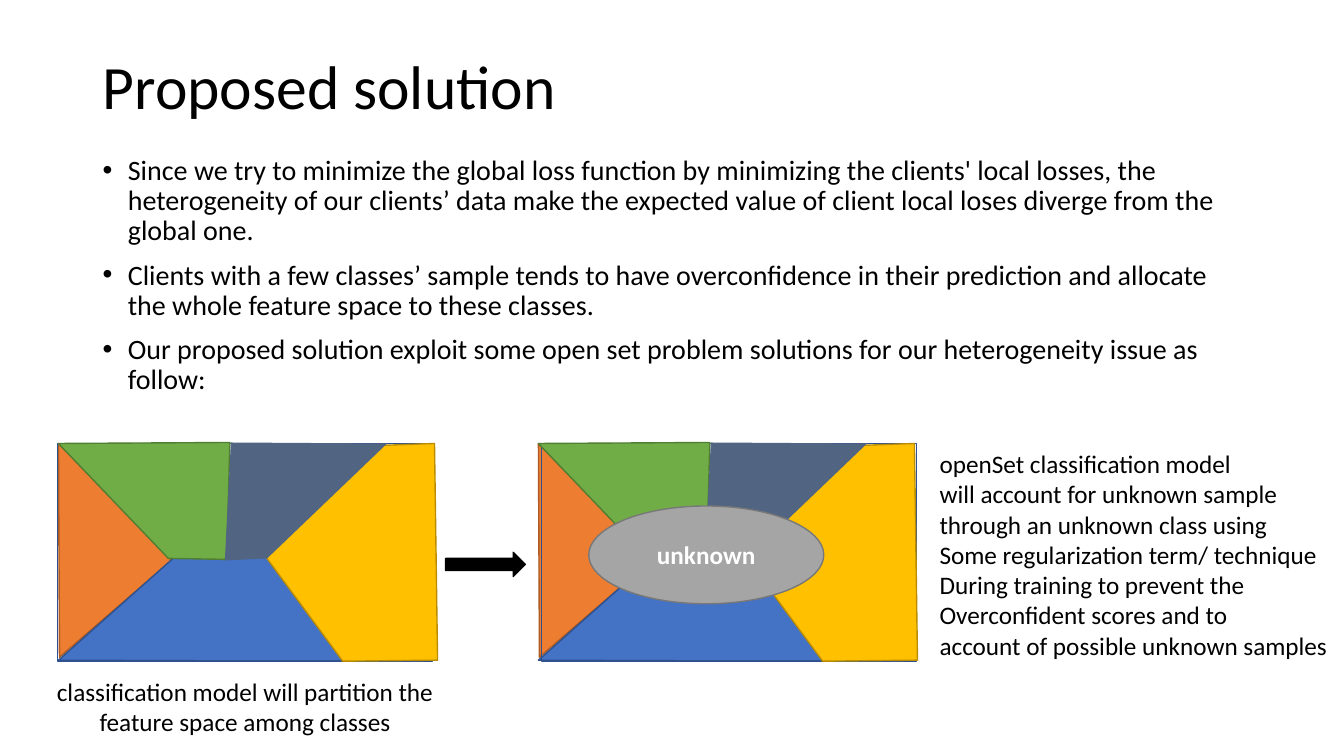
from dataclasses import dataclass

from lxml import etree
from pptx import Presentation
from pptx.dml.color import RGBColor
from pptx.enum.shapes import MSO_SHAPE
from pptx.enum.text import MSO_ANCHOR, PP_ALIGN
from pptx.oxml.ns import qn
from pptx.util import Inches, Pt


@dataclass(frozen=True)
class Theme:
    font: str = "Calibri"
    title_size: int = 44
    body_size: int = 20
    label_size: int = 18
    text: str = "000000"
    light: str = "FFFFFF"
    orange: str = "ED7D31"
    orange_edge: str = "AE5A21"
    blue: str = "4472C4"
    blue_edge: str = "2F528F"
    yellow: str = "FFC000"
    yellow_edge: str = "BC8C00"
    green: str = "70AD47"
    green_edge: str = "507E32"
    slate: str = "516482"
    gray: str = "A5A5A5"
    gray_edge: str = "787878"


THEME = Theme()


def paint(shape, fill, edge):
    """Set fill and outline; None leaves either one out."""
    shape.shadow.inherit = False
    if fill:
        shape.fill.solid()
        shape.fill.fore_color.rgb = RGBColor.from_string(fill)
    else:
        shape.fill.background()
    if edge:
        shape.line.color.rgb = RGBColor.from_string(edge)
        shape.line.width = Pt(1)
    else:
        shape.line.fill.background()


def write(shape, text, size, color=THEME.text, align=PP_ALIGN.LEFT, bold=False):
    """Fill the shape with one paragraph per line of text."""
    frame = shape.text_frame
    frame.text = text
    for paragraph in frame.paragraphs:
        paragraph.alignment = align
        for run in paragraph.runs:
            run.font.name = THEME.font
            run.font.size = Pt(size)
            run.font.bold = bold
            run.font.color.rgb = RGBColor.from_string(color)
    return frame


presentation = Presentation()
presentation.slide_width = Inches(13.33)
presentation.slide_height = Inches(7.5)
slide = presentation.slides.add_slide(presentation.slide_layouts[5])
shapes = slide.shapes

# Title and bullets
title = shapes.title
title.left, title.top = Inches(0.92), Inches(0.16)
title.width, title.height = Inches(11.5), Inches(1.45)
title_frame = write(title, "Proposed solution", THEME.title_size)
title_frame.vertical_anchor = MSO_ANCHOR.MIDDLE
title_frame.paragraphs[0].line_spacing = 0.9

arguments = shapes.add_textbox(Inches(0.92), Inches(1.5), Inches(11.5), Inches(2.52))
arguments_frame = write(
    arguments,
    "Since we try to minimize the global loss function by minimizing the clients' "
    "local losses, the heterogeneity of our clients’ data make the expected value "
    "of client local loses diverge from the global one.\n"
    "Clients with a few classes’ sample tends to have overconfidence in their "
    "prediction and allocate the whole feature space to these classes.\n"
    "Our proposed solution exploit some open set problem solutions for our "
    "heterogeneity issue as follow:",
    THEME.body_size,
)
arguments_frame.word_wrap = True
for index, argument in enumerate(arguments_frame.paragraphs):
    argument.line_spacing = 0.9
    argument.space_before = Pt(10 if index else 0)
    properties = argument._p.get_or_add_pPr()
    properties.set("marL", str(Inches(0.25)))
    properties.set("indent", str(-Inches(0.25)))
    etree.SubElement(properties, qn("a:buFont"), typeface="Arial")
    etree.SubElement(properties, qn("a:buChar"), char="•")

# Feature space, partitioned among classes, before and after
FRAME = [(0.57, 4.4), (4.29, 4.4), (4.29, 6.56), (0.57, 6.56)]
REGIONS = [
    ([(0.58, 4.4), (0.59, 6.52), (1.7, 5.56)], THEME.orange, THEME.orange_edge),
    ([(3.41, 6.56), (2.67, 5.53), (1.74, 5.52), (0.58, 6.55)],
     THEME.blue, THEME.blue_edge),
    (FRAME, None, THEME.blue_edge),
    ([(2.64, 5.53), (3.76, 4.42), (4.31, 4.4), (4.34, 6.55), (3.4, 6.56)],
     THEME.yellow, THEME.yellow_edge),
    ([(0.58, 4.4), (1.67, 5.54), (2.25, 5.55), (2.28, 4.39)],
     THEME.green, THEME.green_edge),
    ([(2.29, 4.39), (3.84, 4.4), (2.65, 5.54), (2.23, 5.56)], THEME.slate, None),
]
for region_shift, frame_shift in [(0, 0), (4.76, 4.8)]:
    for outline, fill, edge in REGIONS:
        shift = frame_shift if outline is FRAME else region_shift
        corners = [(Inches(x + shift), Inches(y)) for x, y in outline]
        builder = shapes.build_freeform(*corners[0])
        builder.add_line_segments(corners[1:], close=True)
        paint(builder.convert_to_shape(), fill, edge)

unknown = shapes.add_shape(
    MSO_SHAPE.OVAL, Inches(5.84), Inches(5.02), Inches(2.33), Inches(0.97)
)
paint(unknown, THEME.gray, THEME.gray_edge)
unknown_frame = write(
    unknown, "unknown", THEME.label_size, THEME.light, PP_ALIGN.CENTER, bold=True
)
unknown_frame.vertical_anchor = MSO_ANCHOR.MIDDLE

# Captions
partition_caption = shapes.add_textbox(
    Inches(0.44), Inches(6.66), Inches(3.98), Inches(0.71)
)
write(
    partition_caption,
    "classification model will partition the\nfeature space among classes",
    THEME.label_size,
    align=PP_ALIGN.CENTER,
).word_wrap = False

open_set_caption = shapes.add_textbox(
    Inches(9.22), Inches(4.4), Inches(4.09), Inches(2.22)
)
write(
    open_set_caption,
    "openSet classification model\n"
    "will account for unknown sample\n"
    "through an unknown class using\n"
    "Some regularization term/ technique\n"
    "During training to prevent the\n"
    "Overconfident scores and to\n"
    "account of possible unknown samples",
    THEME.label_size,
).word_wrap = False

transition = shapes.add_shape(
    MSO_SHAPE.RIGHT_ARROW, Inches(4.42), Inches(5.48), Inches(0.79), Inches(0.24)
)
paint(transition, THEME.text, THEME.text)

presentation.save("out.pptx")
